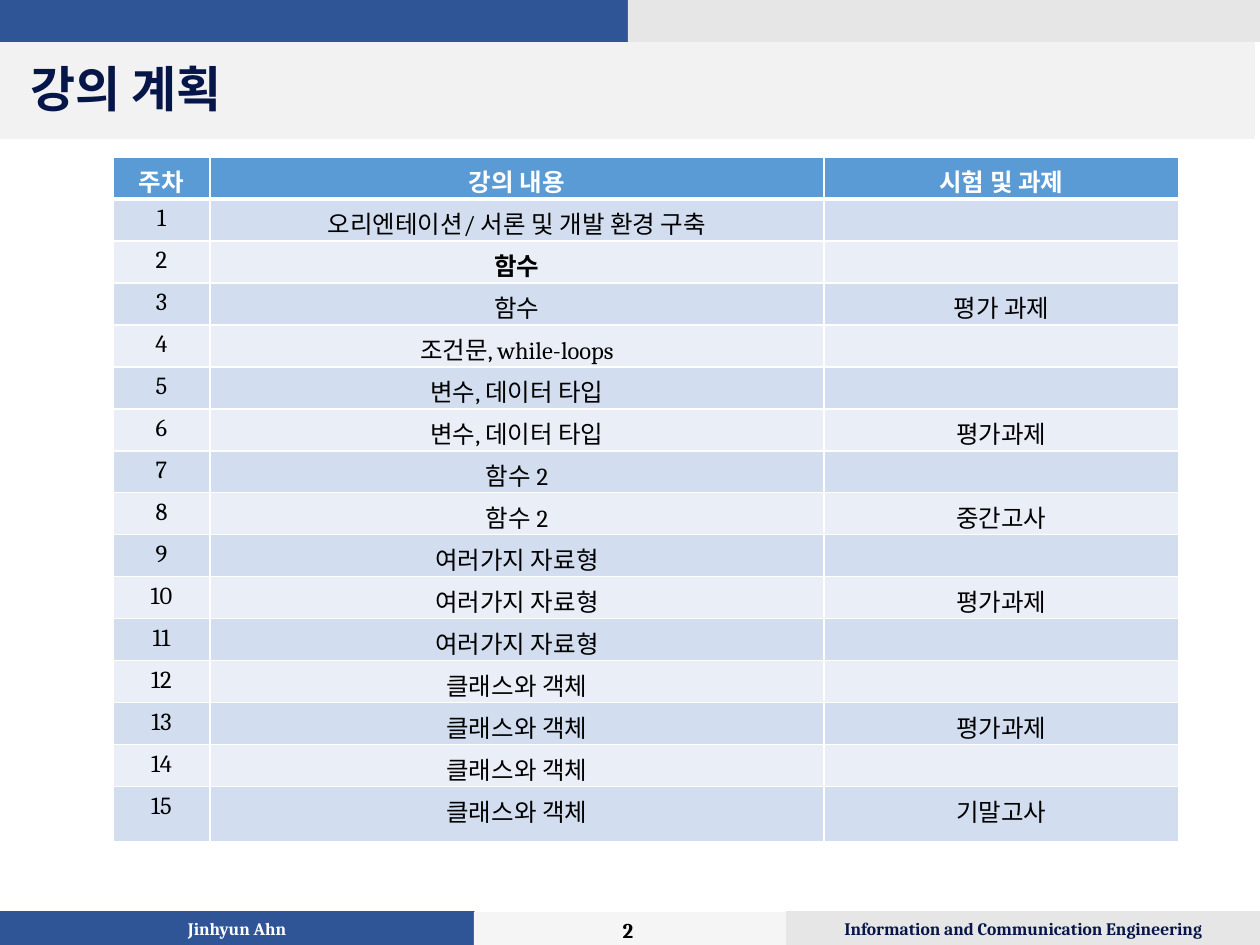
from lxml import etree
from pptx import Presentation
from pptx.dml.color import RGBColor
from pptx.enum.shapes import MSO_SHAPE
from pptx.enum.text import MSO_ANCHOR, PP_ALIGN
from pptx.oxml.ns import qn
from pptx.util import Emu, Pt

RECTANGLE = MSO_SHAPE.RECTANGLE
LEFT, CENTER = PP_ALIGN.LEFT, PP_ALIGN.CENTER
TOP, MIDDLE = MSO_ANCHOR.TOP, MSO_ANCHOR.MIDDLE

SCALE = 914400 / 126
LATIN, KOREAN = "Cambria", "Noto Sans CJK KR"
COLORS = {
    "blue": "2F5597", "gray": "E6E6E6", "pale": "F5F5F5", "band": "F2F2F2",
    "navy": "071648", "black": "000000", "white": "FFFFFF",
    "header": "5B9BD5", "odd": "D2DEEF", "even": "EAEFF7",
}

HEADINGS = ("주차", "강의 내용", "시험 및 과제")
TOPICS = (
    ["오리엔테이션/ 서론 및 개발 환경 구축"] + ["함수"] * 2
    + ["조건문, while-loops"] + ["변수, 데이터 타입"] * 2
    + ["함수 2"] * 2 + ["여러가지 자료형"] * 3 + ["클래스와 객체"] * 4
)
EXAMS = {3: "평가 과제", 6: "평가과제", 8: "중간고사", 10: "평가과제",
         13: "평가과제", 15: "기말고사"}
BOLD_WEEK = 2


def px(value):
    return Emu(round(value * SCALE))


def color(name):
    return RGBColor.from_string(COLORS[name])


class SlideBuilder:
    def __init__(self, page):
        self.page = page

    def set_text(self, frame, text, size, ink, bold=True, align=CENTER, latin=LATIN):
        frame.text = text
        para = frame.paragraphs[0]
        para.alignment = align
        for span in para.runs:
            span.font.size = Pt(size)
            span.font.bold = bold
            span.font.name = latin
            span.font.color.rgb = color(ink)
            east_asian = etree.SubElement(span.font._element, qn("a:ea"))
            east_asian.set("typeface", KOREAN)
        if not text:
            para._p.get_or_add_endParaRPr().set("sz", str(size * 100))
        return para

    def bar(self, left, top, width, height, fill, outlined=False):
        shape = self.page.shapes.add_shape(
            RECTANGLE, px(left), px(top), px(width), px(height))
        shape.shadow.inherit = False
        shape.fill.solid()
        shape.fill.fore_color.rgb = color(fill)
        if outlined:
            shape.line.color.rgb = color(fill)
            shape.line.width = Pt(1)
        else:
            shape.line.fill.background()
        return shape

    def title(self, left, top, width, height, text):
        shape = self.page.shapes.title
        shape.left, shape.top = px(left), px(top)
        shape.width, shape.height = px(width), px(height)
        shape.text_frame.vertical_anchor = MIDDLE
        para = self.set_text(
            shape.text_frame, text, 28, "navy", align=LEFT, latin=KOREAN)
        para.line_spacing = 0.9
        self.page.shapes._spTree.append(shape._element)

    def label(self, left, top, width, height, text, size, ink, anchor):
        box = self.page.shapes.add_textbox(px(left), px(top), px(width), px(height))
        box.text_frame.word_wrap = True
        box.text_frame.vertical_anchor = anchor
        self.set_text(box.text_frame, text, size, ink)

    def borders(self, cell, bottom):
        properties = cell._tc.get_or_add_tcPr()
        for side, points in (("L", 1), ("R", 1), ("T", 1), ("B", bottom)):
            line = etree.SubElement(properties, qn(f"a:ln{side}"), w=str(Pt(points)))
            fill = etree.SubElement(line, qn("a:solidFill"))
            etree.SubElement(fill, qn("a:srgbClr"), val=COLORS["white"])

    def table(self, left, top, widths, heights, rows):
        table = self.page.shapes.add_table(
            len(rows), len(widths), px(left), px(top),
            px(sum(widths)), px(sum(heights))).table
        for column, width in zip(table.columns, widths):
            column.width = px(width)
        for week, (row, height, texts) in enumerate(zip(table.rows, heights, rows)):
            row.height = px(height)
            is_header = week == 0
            fill = "header" if is_header else ("odd" if week % 2 else "even")
            for index, (cell, text) in enumerate(zip(row.cells, texts)):
                cell.margin_top, cell.margin_bottom = px(6), 0
                self.borders(cell, 3 if is_header else 1)
                cell.fill.solid()
                cell.fill.fore_color.rgb = color(fill)
                bold = is_header or (week == BOLD_WEEK and index == 1)
                ink = "white" if is_header else "black"
                self.set_text(cell.text_frame, text, 14, ink, bold)


def main():
    deck = Presentation()
    deck.slide_width, deck.slide_height = px(1260), px(945)
    builder = SlideBuilder(deck.slides.add_slide(deck.slide_layouts[5]))

    builder.bar(0, 0, 628, 42, "blue", outlined=True)
    builder.bar(628, 0, 632, 42, "gray")
    builder.bar(0, 912, 474, 33, "blue", outlined=True)
    department = builder.bar(786, 911, 474, 34, "gray")
    department.text_frame.vertical_anchor = MIDDLE
    builder.set_text(department.text_frame,
                     "Information and Communication Engineering", 10, "navy")
    builder.bar(474, 912, 312, 33, "pale")
    builder.bar(0, 43, 1254, 95, "band", outlined=True)

    builder.title(18, 44, 1242, 95, "강의 계획")
    builder.label(486, 915, 284, 30, "2", 12, "black", MIDDLE)
    builder.label(0, 912, 474, 34, "Jinhyun Ahn", 10, "white", TOP)

    weeks = [(str(week), topic, EXAMS.get(week, ""))
             for week, topic in enumerate(TOPICS, 1)]
    builder.table(113, 157, (97, 614, 355), [42] * 15 + [55], [HEADINGS] + weeks)
    deck.save("out.pptx")


if __name__ == "__main__":
    main()
